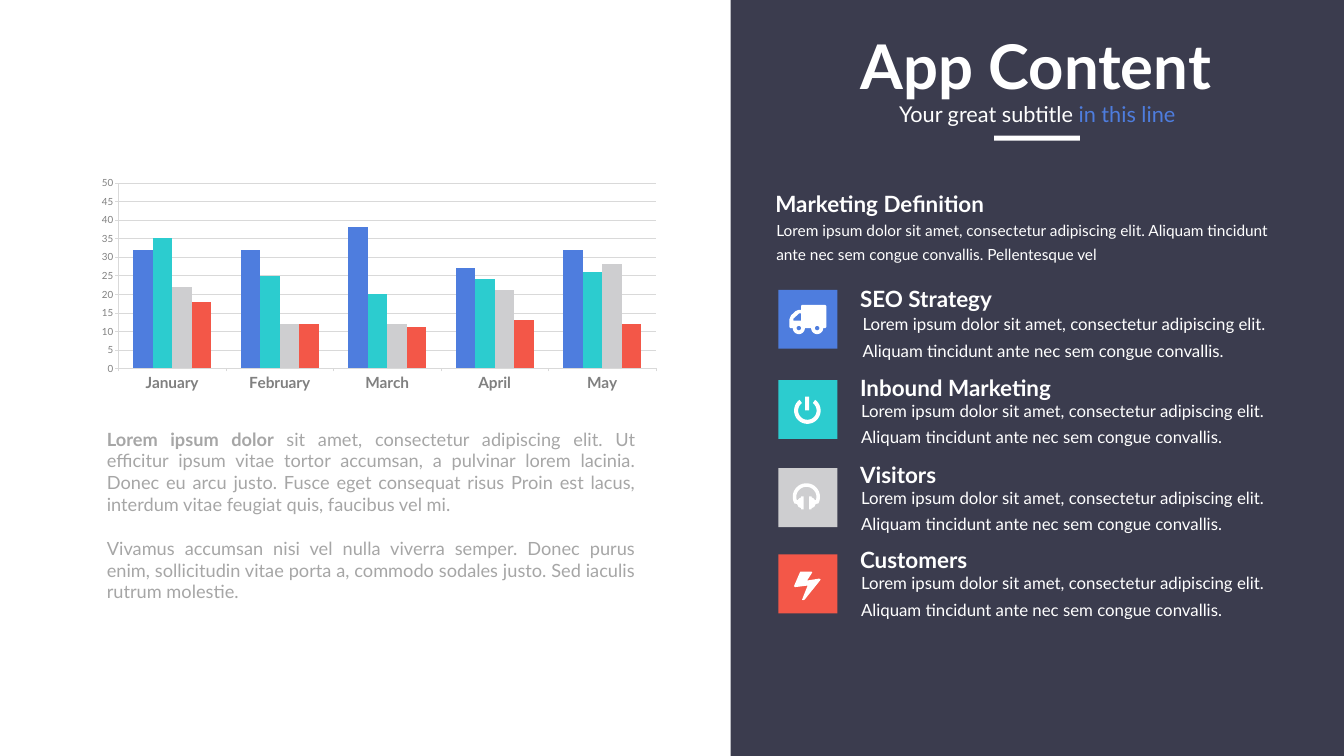
"""Build the App Content slide: a monthly column chart beside a panel of four topics."""
import dataclasses
import math
import typing

import lxml.etree
import pptx
import pptx.chart.data
import pptx.dml.color
import pptx.enum.chart
import pptx.enum.shapes
import pptx.enum.text
import pptx.oxml.ns
import pptx.util

Pt = pptx.util.Pt
Align = pptx.enum.text.PP_ALIGN
Anchor = pptx.enum.text.MSO_ANCHOR
Point = tuple[float, float]
Contour = list[Point]

FONT = "Lato"
WHITE, PANEL, GRAY, AXIS, GRID = "FFFFFF", "212236", "A6A6A6", "808080", "D9D9D9"
BLUE, TEAL, SILVER, RED = "4E7DDE", "2CCCCF", "CECED0", "F35748"
TILE_LEFT, TILE_SIZE = 1111.7, 84.2
TOPIC_TEXT = ("Lorem ipsum dolor sit amet, consectetur adipiscing elit. "
              "Aliquam tincidunt ante nec sem congue convallis.")


class Run(typing.NamedTuple):
    text: str
    color: str = WHITE
    bold: bool = False


@dataclasses.dataclass
class Topic:
    title: str
    color: str
    title_top: float
    body_left: float
    body_top: float
    tile_top: float
    icon: list[Contour]


def rgb(color: str) -> pptx.dml.color.RGBColor:
    return pptx.dml.color.RGBColor.from_string(color)


def arc(x: float, y: float, radius: float, start: int, end: int) -> Contour:
    steps = max(8, abs(end - start) // 10)
    angles = [math.radians(start + (end - start) * i / steps) for i in range(steps + 1)]
    return [(x + radius * math.cos(a), y + radius * math.sin(a)) for a in angles]


def truck() -> list[Contour]:
    wheels = [55.4, 29.2]
    axle = 54.7
    body = [(32.4, 23), (33.5, 21.6), (67, 21.6), (68.4, 23), (68.4, 53.3), (67, axle)]
    for x in wheels:
        body += arc(x, axle, 8.6, 0, 180)
    body += [(17, axle), (15.8, 53.3), (15.8, 42), (18, 36.7), (24.5, 30.5),
             (28.8, 28.8), (32.4, 28.8)]
    window = [(32.4, 33.8), (29.5, 33.8), (21.6, 41), (21.6, 43.9), (32.4, 43.9)]
    return [body, window] + [arc(x, axle, 3.2, 0, 360) for x in wheels]


def power() -> list[Contour]:
    ring = arc(41.4, 43.6, 19, -54, 234) + arc(41.4, 43.6, 13.2, 234, -54)
    return [ring, [(38.2, 23.8), (43.9, 23.8), (43.9, 43.2), (38.2, 43.2)]]


def headphones() -> list[Contour]:
    x, y = 40, 41
    ear = [(12.6, 46), (10.4, 43.2), (7.6, 41.8), (7.6, 40.3), (4, 40.3), (4, 59),
           (7.2, 59), (7.6, 56.9), (11.2, 55.4), (13.3, 51.1), (16.9, 50.4)]
    right = [(x + dx, dy) for dx, dy in reversed(ear)]
    left = [(x - dx, dy) for dx, dy in ear]
    return [arc(x, y, 19.5, 154, 386) + right + arc(x, y, 14.4, 378, 162) + left]


def bolt() -> list[Contour]:
    return [[(31.7, 24.5), (47.5, 24.5), (48.3, 26), (41, 37.4), (58.3, 34.6), (60.5, 36),
             (37.4, 64.8), (35.3, 65.5), (33.8, 64.8), (41.8, 44.6), (23.8, 46.8),
             (22.3, 45.4), (31, 25.2)]]


def paint(shape, color: str) -> None:
    shape.shadow.inherit = False
    shape.fill.solid()
    shape.fill.fore_color.rgb = rgb(color)
    shape.line.fill.background()


def add_rectangle(slide, left: float, top: float, width: float, height: float, color: str):
    shape = slide.shapes.add_shape(pptx.enum.shapes.MSO_SHAPE.RECTANGLE,
                                   Pt(left), Pt(top), Pt(width), Pt(height))
    paint(shape, color)
    return shape


def set_opacity(shape, percent: int) -> None:
    color = shape.fill._xPr.find(".//" + pptx.oxml.ns.qn("a:srgbClr"))
    alpha = lxml.etree.SubElement(color, pptx.oxml.ns.qn("a:alpha"))
    alpha.set("val", str(percent * 1000))


def add_icon(slide, left: float, top: float, contours: list[Contour]) -> None:
    outlines = [[(Pt(x), Pt(y)) for x, y in contour] for contour in contours]
    builder = slide.shapes.build_freeform(*outlines[0][0], scale=1.0)
    builder.add_line_segments(outlines[0][1:], close=True)
    for outline in outlines[1:]:
        builder.move_to(*outline[0])
        builder.add_line_segments(outline[1:], close=True)
    paint(builder.convert_to_shape(Pt(left), Pt(top)), WHITE)


def add_text(slide, paragraphs: list[list[Run]], *, left: float, top: float, width: float,
             height: float, size: float, inset: Point = (19.4, 0), left_inset: float | None = None,
             anchor=Anchor.MIDDLE, align=Align.LEFT, line_spacing: float = 1.0,
             first_gap: float = 0, gap: float = 0) -> None:
    frame = slide.shapes.add_textbox(Pt(left), Pt(top), Pt(width), Pt(height)).text_frame
    frame.word_wrap = True
    frame.vertical_anchor = anchor
    frame.margin_left = Pt(inset[0] if left_inset is None else left_inset)
    frame.margin_right = Pt(inset[0])
    frame.margin_top = frame.margin_bottom = Pt(inset[1])
    for index, runs in enumerate(paragraphs):
        paragraph = frame.add_paragraph() if index else frame.paragraphs[0]
        paragraph.alignment = align
        paragraph.line_spacing = line_spacing
        paragraph.space_before = Pt(gap if index else first_gap)
        for item in runs:
            run = paragraph.add_run()
            run.text = item.text
            run.font.name = FONT
            run.font.size = Pt(size)
            run.font.bold = item.bold
            run.font.color.rgb = rgb(item.color)


def style_axis(axis, size: float, bold: bool) -> None:
    font = axis.tick_labels.font
    font.name, font.size, font.bold = FONT, Pt(size), bold
    font.color.rgb = rgb(AXIS)
    axis.major_tick_mark = pptx.enum.chart.XL_TICK_MARK.OUTSIDE
    axis.format.line.color.rgb = rgb(GRID)
    axis.format.line.width = Pt(0.25)


def add_column_chart(slide) -> None:
    data = pptx.chart.data.CategoryChartData()
    data.categories = ["January", "February", "March", "April", "May"]
    data.add_series("Series 1", (32, 32, 38, 27, 32))
    data.add_series("Series 2", (35, 25, 20, 24, 26))
    data.add_series("Series 3", (22, 12, 12, 21, 28))
    data.add_series("Series 4", (18, 12, 11, 13, 12))
    chart = slide.shapes.add_chart(pptx.enum.chart.XL_CHART_TYPE.COLUMN_CLUSTERED,
                                   Pt(128.9), Pt(246.2), Pt(824.4), Pt(319.7), data).chart
    chart.has_legend = chart.has_title = False
    chart.font.name, chart.font.size = "Manrope", Pt(12)
    chart.font.color.rgb = rgb("7E7E7E")
    style_axis(chart.category_axis, 22, True)
    values = chart.value_axis
    style_axis(values, 14, False)
    values.minimum_scale, values.maximum_scale, values.major_unit = 0, 50, 5
    values.major_gridlines.format.line.color.rgb = rgb(GRID)
    values.major_gridlines.format.line.width = Pt(0.25)
    plot = chart.plots[0]
    plot.gap_width, plot.overlap, plot.vary_by_categories = 150, 0, False
    for series, color in zip(plot.series, (BLUE, TEAL, SILVER, RED)):
        series.format.fill.solid()
        series.format.fill.fore_color.rgb = rgb(color)


def add_topic(slide, topic: Topic) -> None:
    add_text(slide, [[Run(topic.title, bold=True)]], left=1208.9, top=topic.title_top,
             width=385.2, height=38.9, size=32)
    add_text(slide, [[Run(TOPIC_TEXT)]], left=topic.body_left, top=topic.body_top, width=625.7,
             height=93.6, size=24, inset=(19.4, 9.4), line_spacing=1.3)
    add_rectangle(slide, TILE_LEFT, topic.tile_top, TILE_SIZE, TILE_SIZE, topic.color)
    add_icon(slide, TILE_LEFT, topic.tile_top, topic.icon)


def main() -> None:
    presentation = pptx.Presentation()
    presentation.slide_width, presentation.slide_height = Pt(1919.5), Pt(1080)
    slide = presentation.slides.add_slide(presentation.slide_layouts[6])
    set_opacity(add_rectangle(slide, 1043.6, 0, 875.9, 1080, PANEL), 88)
    add_column_chart(slide)
    add_text(slide, [[Run("Marketing Definition", bold=True)]], left=1087.9, top=270.7,
             width=650.9, height=38.9, size=32)
    add_text(slide, [[Run(TOPIC_TEXT[:-1] + ". Pellentesque vel")]], left=1089.4, top=298.8,
             width=763.2, height=87.1, size=22, inset=(19.4, 9.4), line_spacing=1.3)
    for topic in (Topic("SEO Strategy", BLUE, 406.8, 1212.5, 430.6, 414, truck()),
                  Topic("Inbound Marketing", TEAL, 533.5, 1210.3, 554.4, 542.9, power()),
                  Topic("Visitors", SILVER, 658.8, 1210.3, 679, 668.9, headphones()),
                  Topic("Customers", RED, 779.8, 1210.3, 800.6, 792, bolt())):
        add_topic(slide, topic)
    add_text(slide, [[Run("App Content", bold=True)]], left=992.9, top=36.7, width=973.4,
             height=113.8, size=88, inset=(7.2, 3.6), anchor=Anchor.TOP, align=Align.CENTER)
    add_rectangle(slide, 1419.8, 193.7, 122.4, 7.2, WHITE)
    add_text(slide, [[Run("Your great subtitle "), Run("in this line", BLUE)]], left=1022.4,
             top=127.4, width=918, height=66.2, size=31, inset=(17.3, 8.6), anchor=Anchor.TOP,
             align=Align.CENTER, line_spacing=1.2, first_gap=6.2)
    add_text(slide, [
        [Run("Lorem ipsum dolor ", GRAY, True),
         Run("sit amet, consectetur adipiscing elit. Ut efficitur ipsum vitae tortor accumsan, "
             "a pulvinar lorem lacinia. Donec eu arcu justo. Fusce eget consequat risus Proin "
             "est lacus, interdum vitae feugiat quis, faucibus vel mi.", GRAY)],
        [Run("Vivamus accumsan nisi vel nulla viverra semper. Donec purus enim, sollicitudin "
             "vitae porta a, commodo sodales justo. Sed iaculis rutrum molestie.", GRAY)],
    ], left=152.6, top=611.3, width=774.7, height=278.6, size=26, left_inset=0,
        anchor=Anchor.TOP, align=Align.JUSTIFY, gap=31.2)
    presentation.save("out.pptx")


if __name__ == "__main__":
    main()
